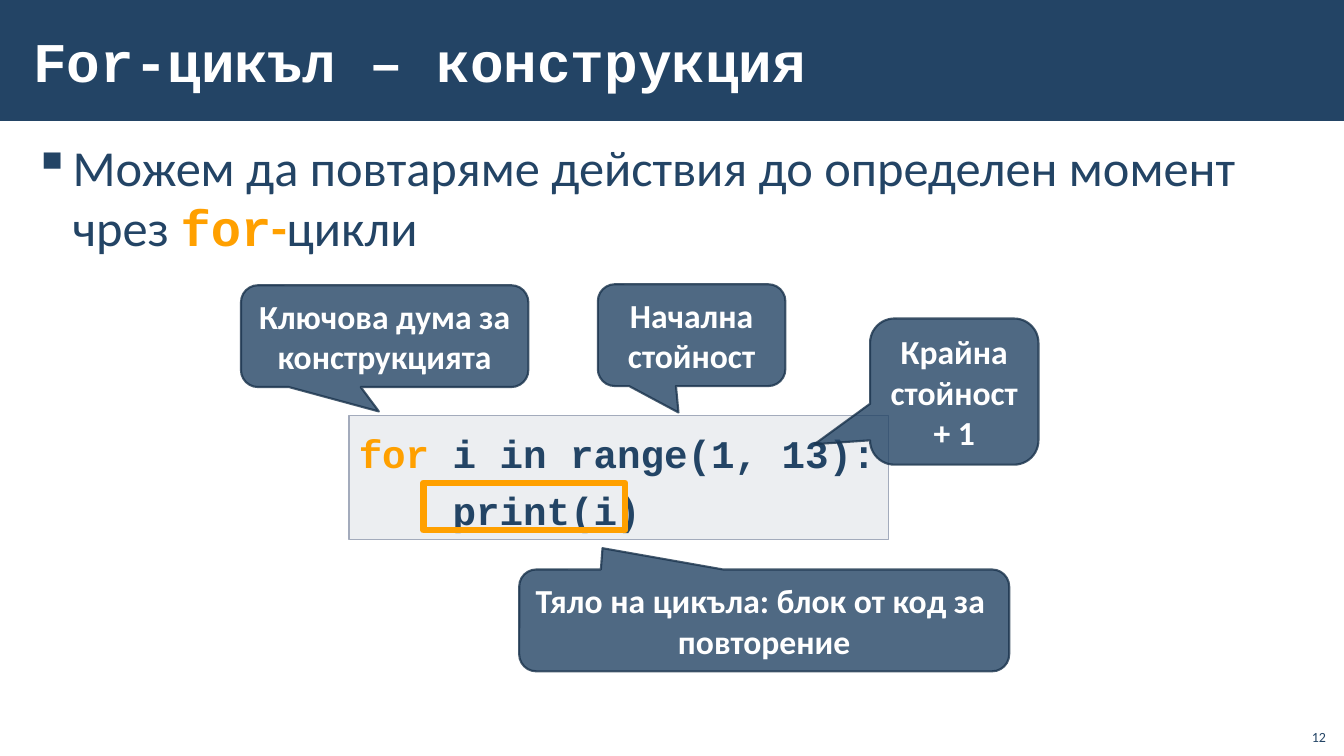
from lxml import etree
from pptx import Presentation
from pptx import util as u
from pptx.dml.color import RGBColor
from pptx.enum import shapes, text
from pptx.oxml.ns import qn

NAVY = RGBColor(0x23, 0x44, 0x65)
DARK_NAVY = RGBColor(0x1A, 0x33, 0x4C)
GREY = RGBColor(0xA3, 0xAB, 0xBC)
ORANGE = RGBColor(0xFF, 0xA0, 0x00)
WHITE = RGBColor(0xFF, 0xFF, 0xFF)
BODY_FONT, CODE_FONT = "Calibri", "Courier New"


def box(left, top, width, height):
    return [u.Inches(value) for value in (left, top, width, height)]


def set_opacity(color_format, percent):
    color = color_format._xFill.find(qn("a:srgbClr"))
    etree.SubElement(color, qn("a:alpha"), val=str(percent * 1000))


class SlideBuilder:
    def __init__(self, presentation):
        self.slide = presentation.slides.add_slide(presentation.slide_layouts[5])

    def frame(self, shape, anchor=text.MSO_ANCHOR.TOP, inset_x=0.1, inset_y=0.05):
        frame = shape.text_frame
        frame.word_wrap = True
        frame.auto_size = text.MSO_AUTO_SIZE.NONE
        frame.vertical_anchor = anchor
        frame.margin_left = frame.margin_right = u.Inches(inset_x)
        frame.margin_top = frame.margin_bottom = u.Inches(inset_y)
        return frame

    def run(self, paragraph, words, size, color, font=BODY_FONT, bold=False):
        run = paragraph.add_run()
        run.text = words
        run.font.name, run.font.size = font, u.Pt(size)
        run.font.bold, run.font.color.rgb = bold, color

    def shape(self, kind, place, fill=None, opacity=100, line=None, line_width=1, line_opacity=100):
        shape = self.slide.shapes.add_shape(kind, *box(*place))
        shape.shadow.inherit = False
        if fill is None:
            shape.fill.background()
        else:
            shape.fill.solid()
            shape.fill.fore_color.rgb = fill
            set_opacity(shape.fill.fore_color, opacity)
        if line is None:
            shape.line.fill.background()
        else:
            shape.line.color.rgb = line
            shape.line.width = u.Pt(line_width)
            set_opacity(shape.line.fill.fore_color, line_opacity)
        return shape

    def header(self, words):
        bar = self.shape(shapes.MSO_SHAPE.RECTANGLE, (0, 0, 13.34, 1.2), NAVY)
        title = self.slide.shapes.title
        title._element.addprevious(bar._element)
        title.left, title.top, title.width, title.height = box(0.21, 0.11, 10.63, 0.97)
        paragraph = self.frame(title, text.MSO_ANCHOR.MIDDLE, 0.12, 0.04).paragraphs[0]
        paragraph.alignment = text.PP_ALIGN.LEFT
        self.run(paragraph, words, 40, WHITE, CODE_FONT, True)

    def bullet(self, place, runs):
        text_box = self.slide.shapes.add_textbox(*box(*place))
        paragraph = self.frame(text_box, inset_x=0.12, inset_y=0.04).paragraphs[0]
        paragraph.space_before = paragraph.space_after = u.Pt(6)
        properties = paragraph._p.get_or_add_pPr()
        properties.set("marL", str(u.Inches(0.39)))
        properties.set("indent", str(u.Inches(-0.39)))
        etree.SubElement(properties, qn("a:buChar"), char="▪")
        for words, color, font, bold in runs:
            self.run(paragraph, words, 36, color, font, bold)

    def code(self, place, lines):
        panel = self.shape(shapes.MSO_SHAPE.RECTANGLE, place, GREY, 20, GREY)
        frame = self.frame(panel)
        for index, runs in enumerate(lines):
            paragraph = frame.add_paragraph() if index else frame.paragraphs[0]
            paragraph.alignment = text.PP_ALIGN.LEFT
            paragraph.line_spacing = 1.2
            for words, color in runs:
                self.run(paragraph, words, 28, color, CODE_FONT, True)

    def callout(self, place, tip, lines):
        callout = self.shape(shapes.MSO_SHAPE.ROUNDED_RECTANGULAR_CALLOUT, place,
                             NAVY, 80, DARK_NAVY, 1.5, 80)
        callout.adjustments[0], callout.adjustments[1] = tip
        paragraph = self.frame(callout, text.MSO_ANCHOR.MIDDLE).paragraphs[0]
        paragraph.alignment = text.PP_ALIGN.CENTER
        for index, words in enumerate(lines):
            if index:
                paragraph.add_line_break()
            self.run(paragraph, words, 24, WHITE, bold=True)

    def page_number(self, place, number):
        text_box = self.slide.shapes.add_textbox(*box(*place))
        paragraph = self.frame(text_box, text.MSO_ANCHOR.BOTTOM).paragraphs[0]
        paragraph.alignment = text.PP_ALIGN.RIGHT
        self.run(paragraph, number, 10, NAVY)


def main():
    presentation = Presentation()
    presentation.slide_width = u.Inches(13.33)
    presentation.slide_height = u.Inches(7.5)
    builder = SlideBuilder(presentation)

    # Title and statement
    builder.header("For-цикъл – конструкция")
    builder.bullet((0.21, 1.31, 12.92, 6.05), [
        ("Можем да повтаряме действия до определен момент чрез ", NAVY, BODY_FONT, False),
        ("for", ORANGE, CODE_FONT, True),
        ("-", ORANGE, BODY_FONT, True),
        ("цикли", NAVY, BODY_FONT, False),
    ])

    # Code sample
    builder.code((3.46, 4.12, 5.35, 1.23), [
        [("for", ORANGE), (" i in range(1, 13):", NAVY)],
        [("    print(i)", NAVY)],
    ])

    # Explanations pointing at the code
    for place, tip, lines in [
        ((2.39, 2.83, 2.85, 1.01), (-0.02, 0.74), ["Ключова дума за конструкцията"]),
        ((5.93, 2.82, 1.86, 1.01), (-0.07, 0.76), ["Начална стойност"]),
        ((8.63, 3.16, 1.67, 1.45), (-0.83, 0.36), ["Крайна стойност + 1"]),
        ((5.15, 5.65, 4.86, 1.01), (-0.33, -0.71),
         ["Тяло на цикъла: блок от код за ", "повторение"]),
    ]:
        builder.callout(place, tip, lines)

    # Frame around the loop body
    builder.shape(shapes.MSO_SHAPE.RECTANGLE, (4.2, 4.79, 2, 0.47), line=ORANGE, line_width=4.5)

    builder.page_number((12.85, 7.12, 0.4, 0.32), "12")
    presentation.save("out.pptx")


if __name__ == "__main__":
    main()
